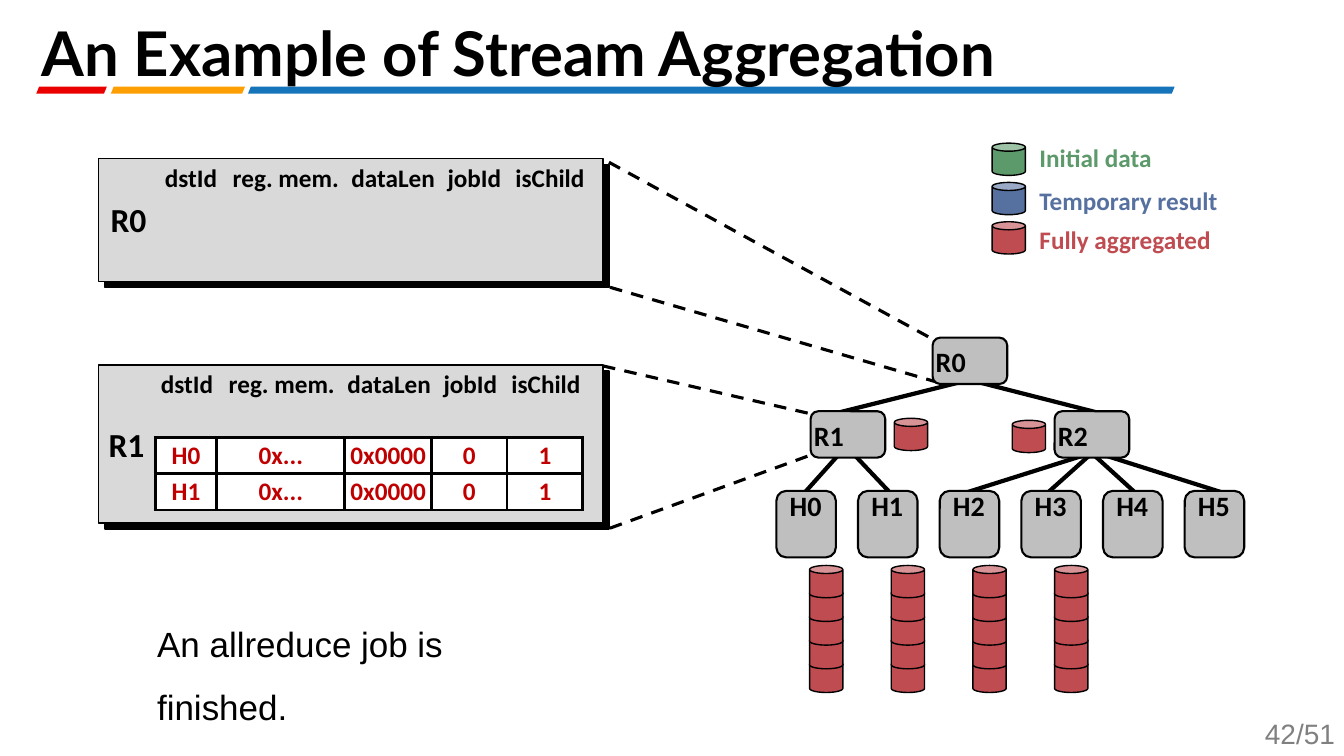
import pptx
import pptx.util
import pptx.dml.color
import pptx.enum.dml
import pptx.enum.shapes
import pptx.enum.text
import pptx.oxml
import pptx.oxml.ns
import lxml.etree

Inches, Pt = pptx.util.Inches, pptx.util.Pt
MSO = pptx.enum.shapes.MSO_SHAPE
ALIGN = pptx.enum.text.PP_ALIGN
ANCHOR = pptx.enum.text.MSO_ANCHOR
qn = pptx.oxml.ns.qn
rgb = pptx.dml.color.RGBColor.from_string
RED, BLUE, GREEN = "BF4C50", "5671A0", "5D9A6B"

prs = pptx.Presentation()
prs.slide_width, prs.slide_height = Inches(13.33), Inches(7.5)
s = prs.slides.add_slide(prs.slide_layouts[6])


def add_text(text, at=None, tf=None, size=18, color="000000", font="Calibri", bold=True,
             align=ALIGN.CENTER, anchor=ANCHOR.TOP, spacing=None, inset=(0, 0)):
    """Write text into a new box, or into the given text frame."""
    if tf is None:
        tf = s.shapes.add_textbox(*map(Inches, at)).text_frame
        tf.word_wrap = True
        tf.vertical_anchor = anchor
        tf.margin_left = tf.margin_right = Inches(inset[0])
        tf.margin_top = tf.margin_bottom = Inches(inset[1])
    p = tf.paragraphs[0]
    p.alignment = align
    if spacing:
        p.line_spacing = spacing
    r = p.add_run()
    r.text = text
    r.font.size, r.font.name, r.font.bold = Pt(size), font, bold
    r.font.color.rgb = rgb(color)


def add_box(kind, at, fill, line=None):
    """Draw a filled preset shape; line is its outline width in points."""
    sp = s.shapes.add_shape(kind, *map(Inches, at))
    sp.shadow.inherit = False
    sp.fill.solid()
    sp.fill.fore_color.rgb = rgb(fill)
    if line:
        sp.line.color.rgb = rgb("000000")
        sp.line.width = Pt(line)
    else:
        sp.line.fill.background()
    return sp


# Title, coloured rule and page number
for left, width, color in [(2.46, 9.19, "1674BA"), (0.36, 0.7, "EB0000"), (1.1, 1.33, "FD9F02")]:
    add_box(MSO.PARALLELOGRAM, (left, 0.86, width, 0.07), color).adjustments[0] = 0.4
add_text("An Example of Stream Aggregation", (0.41, 0, 12.55, 0.85), size=44, font="Lato",
         align=ALIGN.LEFT, anchor=ANCHOR.BOTTOM, spacing=0.6)
add_text("42/51", (12.2, 7.06, 1.14, 0.44), size=20, color="808080", font="Arial", bold=False,
         align=ALIGN.RIGHT, inset=(0.1, 0.05))

# Dashed callout lines, then tree edges
callouts = [(5.98, 3.63, 8.06, 4.11), (6.05, 5.24, 8.08, 4.5),
            (6.05, 2.85, 9.29, 3.79), (6.04, 1.61, 9.26, 3.37)]
edges = [(10.99, 4.12, 9.58, 3.76), (8.21, 4.12, 9.65, 3.76), (11.35, 4.97, 10.79, 4.46),
         (10.21, 5.05, 10.87, 4.46), (7.79, 5.1, 8.31, 4.52), (9, 5.07, 8.49, 4.53),
         (12.23, 4.92, 10.84, 4.48), (9.35, 4.96, 10.9, 4.47)]
for ends in callouts + edges:
    c = s.shapes.add_connector(pptx.enum.shapes.MSO_CONNECTOR.STRAIGHT, *map(Inches, ends))
    c.line.color.rgb = rgb("000000")
    c.line.width = Pt(3)
    if ends in callouts:
        c.line.width = Pt(2.25)
        c.line.dash_style = pptx.enum.dml.MSO_LINE.DASH
    lxml.etree.SubElement(c.element.spPr, qn("a:effectLst"))

# Routers
for name, left, top in [("R1", 8.04, 4.08), ("R2", 10.46, 4.08), ("R0", 9.25, 3.35)]:
    add_box(MSO.ROUNDED_RECTANGLE, (left, top, 0.74, 0.46), "BFBFBF", 1.5)
    add_text(name, (left - 0.04, top + 0.07, 0.44, 0.31), size=20)

# Hosts
for i in range(6):
    left = 7.7 + 0.81 * i
    add_box(MSO.ROUNDED_RECTANGLE, (left, 4.87, 0.59, 0.66), "BFBFBF", 1.5)
    add_text(f"H{i}", (left + 0.07, 4.85, 0.44, 0.26), size=20)

# Data cylinders: stacks built from the bottom up, and one beside each router
cans = [(8.03 + 0.81 * col, 6.55 - 0.235 * level) for level in range(5) for col in range(4)]
for left, top in cans + [(8.87, 4.15), (10.04, 4.17)]:
    add_box(MSO.CAN, (left, top, 0.33, 0.32), RED, 1)

# Legend
for label, color, can_top, text_top in [("Initial data", GREEN, 1.42, 1.38),
                                        ("Temporary result", BLUE, 1.81, 1.81),
                                        ("Fully aggregated", RED, 2.2, 2.2)]:
    add_box(MSO.CAN, (9.84, can_top, 0.33, 0.32), color, 1)
    add_text(label, (10.31, text_top, 1.93, 0.35), color=color, align=ALIGN.LEFT, spacing=1.1)

# Router state panels with column headings
headings = ["dstId", "reg. mem.", "dataLen", "jobId", "isChild"]
widths = [0.61, 1.27, 0.86, 0.75, 0.75]
for name, top, height, name_at, head_left, head_top in [
        ("R1", 3.62, 1.57, (1, 4.21), 1.55, 3.62), ("R0", 1.57, 1.22, (1.02, 1.97), 1.59, 1.58)]:
    add_box(MSO.RECTANGLE, (1.04, top + 0.06, 5, height), "000000", 1)
    add_box(MSO.RECTANGLE, (0.98, top, 5, height), "D9D9D9", 1)
    add_text(name, (*name_at, 0.51, 0.39), size=24)
    for i, heading in enumerate(headings):
        add_text(heading, (head_left + sum(widths[:i]), head_top, widths[i], 0.35), spacing=1.1)

# Entries of R1
entries = [["H0", "0x...", "0x0000", "0", "1"], ["H1", "0x...", "0x0000", "0", "1"]]
tbl = s.shapes.add_table(2, 5, *map(Inches, (1.54, 4.34, sum(widths), 0.72))).table
tbl.first_row = tbl.horz_banding = False
for column, width in zip(tbl.columns, widths):
    column.width = Inches(width)
for row, entry in zip(tbl.rows, entries):
    row.height = Inches(0.36)
    for cell, value in zip(row.cells, entry):
        cell.margin_left = cell.margin_right = cell.margin_top = cell.margin_bottom = 0
        cell.vertical_anchor = ANCHOR.MIDDLE
        add_text(value, tf=cell.text_frame, color="C00000")
        tcPr = cell._tc.get_or_add_tcPr()
        for side in ("a:lnL", "a:lnR", "a:lnT", "a:lnB"):
            ln = lxml.etree.SubElement(tcPr, qn(side), w=str(Pt(2.25)))
            fill = lxml.etree.SubElement(ln, qn("a:solidFill"))
            lxml.etree.SubElement(fill, qn("a:srgbClr"), val="000000")
        cell.fill.solid()
        cell.fill.fore_color.rgb = rgb("FFFFFF")

# Status line
add_text("An allreduce job is finished.", (1.46, 5.92, 4.31, 0.67), size=25, font="Arial",
         bold=False, align=ALIGN.LEFT, spacing=1.5, inset=(0.1, 0.05))

prs.save("out.pptx")
